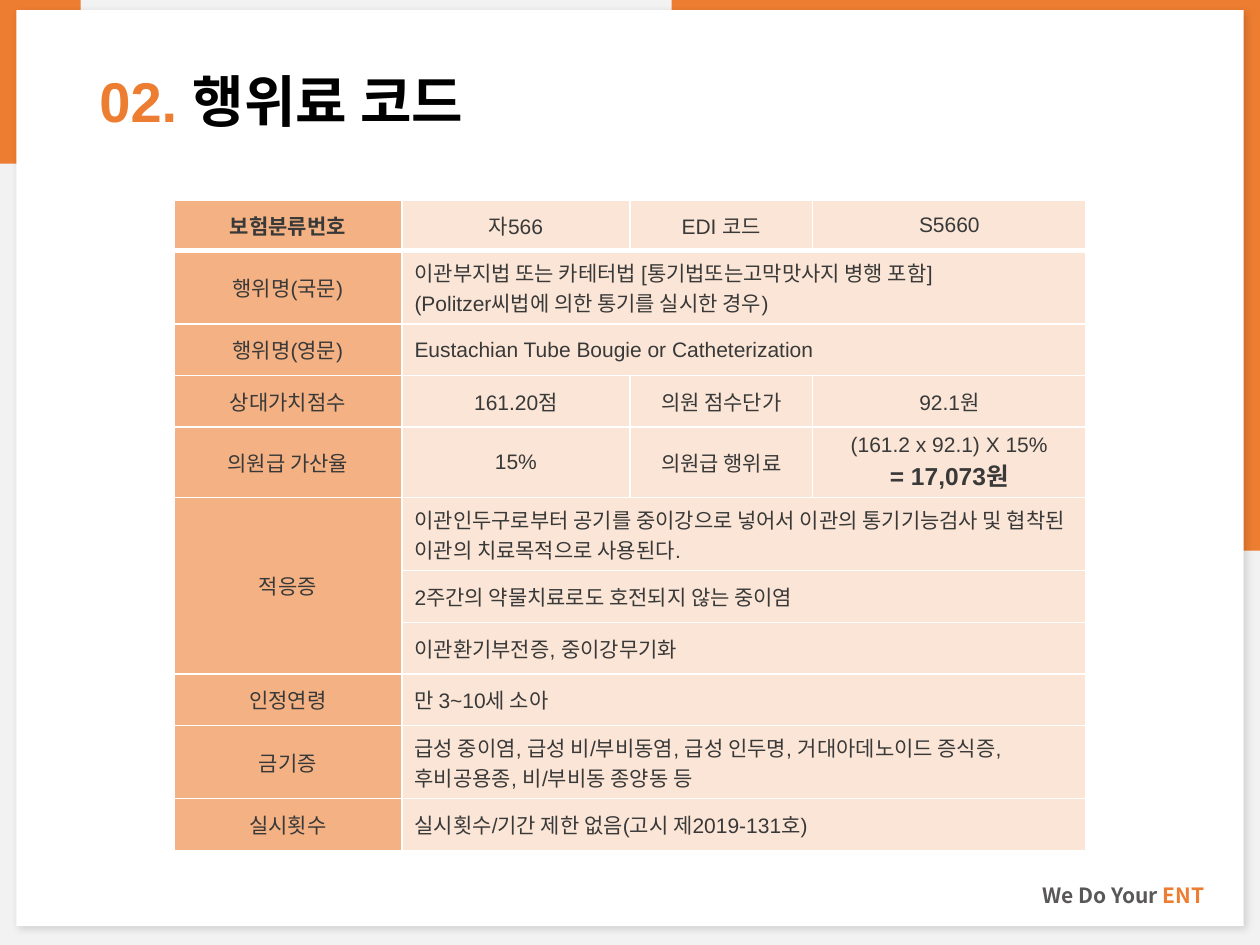
from dataclasses import dataclass
from typing import NamedTuple, Optional

from lxml.etree import SubElement
from pptx import Presentation
from pptx.dml.color import RGBColor
from pptx.enum.shapes import MSO_SHAPE as Shape
from pptx.enum.text import MSO_ANCHOR as Anchor, PP_ALIGN as Align
from pptx.oxml.ns import qn
from pptx.util import Inches, Pt


@dataclass(frozen=True)
class Theme:
    backdrop: str = "F2F2F2"
    accent: str = "ED7D31"
    white: str = "FFFFFF"
    black: str = "000000"
    footer_gray: str = "595757"
    body_text: str = "383938"
    label_fill: str = "F4B183"
    value_fill: str = "FBE5D6"
    latin: str = "Arial"
    korean: str = "Noto Sans CJK KR"
    title_size: int = 32
    body_size: int = 12
    result_size: int = 14
    border: int = 1
    header_border: int = 3


THEME = Theme()


class Panel(NamedTuple):
    left: float
    top: float
    width: float
    height: float
    color: str


class Run(NamedTuple):
    text: str
    color: str = THEME.body_text
    size: int = THEME.body_size
    bold: bool = False
    font: str = THEME.latin


HEADER_HEIGHT = 0.4
LINE_HEIGHT = 0.41
TWO_LINE_HEIGHT = 0.58
RESULT_HEIGHT = 0.56


class Row(NamedTuple):
    """A label and its values; a single value spans the remaining columns."""
    label: Optional[str]
    values: list
    height: float = LINE_HEIGHT
    label_rows: int = 1


PANELS = [
    Panel(0, 0, 10, 7.5, THEME.backdrop),
    Panel(0, 0, 0.64, 1.3, THEME.accent),
    Panel(5.33, 0, 4.67, 4.37, THEME.accent),
]
PAGE = Panel(0.13, 0.08, 9.74, 7.27, THEME.white)
COLUMN_WIDTHS = [1.81, 1.81, 1.45, 2.17]
FEE_RESULT = Run("= 17,073원", size=THEME.result_size, bold=True)

ROWS = [
    Row("보험분류번호", [["자566"], ["EDI 코드"], ["S5660"]], HEADER_HEIGHT),
    Row("행위명(국문)", [["이관부지법 또는 카테터법 [통기법또는고막맛사지 병행 포함]",
                      "(Politzer씨법에 의한 통기를 실시한 경우)"]], TWO_LINE_HEIGHT),
    Row("행위명(영문)", [["Eustachian Tube Bougie or Catheterization"]]),
    Row("상대가치점수", [["161.20점"], ["의원 점수단가"], ["92.1원"]]),
    Row("의원급 가산율", [["15%"], ["의원급 행위료"], ["(161.2 x 92.1) X 15%", FEE_RESULT]],
        RESULT_HEIGHT),
    Row("적응증", [["이관인두구로부터 공기를 중이강으로 넣어서 이관의 통기기능검사 및 "
                 "협착된 이관의 치료목적으로 사용된다."]], TWO_LINE_HEIGHT, label_rows=3),
    Row(None, [["2주간의 약물치료로도 호전되지 않는 중이염"]]),
    Row(None, [["이관환기부전증, 중이강무기화"]]),
    Row("인정연령", [["만 3~10세 소아"]]),
    Row("금기증", [["급성 중이염, 급성 비/부비동염, 급성 인두명, 거대아데노이드 증식증,",
                 "후비공용종, 비/부비동 종양동 등"]], TWO_LINE_HEIGHT),
    Row("실시횟수", [["실시횟수/기간 제한 없음(고시 제2019-131호)"]]),
]


def add_panel(slide, panel: Panel):
    shape = slide.shapes.add_shape(
        Shape.RECTANGLE, *(Inches(length) for length in panel[:4]))
    shape.shadow.inherit = False
    shape.fill.solid()
    shape.fill.fore_color.rgb = RGBColor.from_string(panel.color)
    shape.line.fill.background()
    return shape


def add_soft_shadow(shape) -> None:
    effects = shape._element.spPr.find(qn("a:effectLst"))
    shadow = SubElement(effects, qn("a:outerShdw"), blurRad=str(Pt(4)), dist=str(Pt(3)),
                        dir=str(45 * 60000), algn="tl", rotWithShape="0")
    color = SubElement(shadow, qn("a:srgbClr"), val=THEME.black)
    SubElement(color, qn("a:alpha"), val="14000")


def add_run(paragraph, content: Run) -> None:
    run = paragraph.add_run()
    run.text = content.text
    run.font.size = Pt(content.size)
    run.font.bold = content.bold
    run.font.name = content.font
    run.font.color.rgb = RGBColor.from_string(content.color)


def add_text_line(slide, left: float, top: float, width: float, height: float,
                  runs: list[Run], alignment: Align, line_spacing: float = 1.0) -> None:
    box = slide.shapes.add_textbox(Inches(left), Inches(top), Inches(width), Inches(height))
    frame = box.text_frame
    frame.word_wrap = True
    frame.vertical_anchor = Anchor.BOTTOM
    paragraph = frame.paragraphs[0]
    paragraph.alignment = alignment
    paragraph.line_spacing = line_spacing
    for run in runs:
        add_run(paragraph, run)


def style_cell(cell, fill: str, top: int, bottom: int) -> None:
    """Set the fill and white borders, with top and bottom widths in points."""
    cell.vertical_anchor = Anchor.MIDDLE
    properties = cell._tc.get_or_add_tcPr()
    widths = {"lnL": THEME.border, "lnR": THEME.border, "lnT": top, "lnB": bottom}
    for side, width in widths.items():
        line = SubElement(properties, qn(f"a:{side}"), w=str(Pt(width)))
        line_fill = SubElement(line, qn("a:solidFill"))
        SubElement(line_fill, qn("a:srgbClr"), val=THEME.white)
    cell.fill.solid()
    cell.fill.fore_color.rgb = RGBColor.from_string(fill)


def write_cell(cell, lines: list, alignment: Align, bold: bool = False) -> None:
    frame = cell.text_frame
    for index, line in enumerate(lines):
        paragraph = frame.add_paragraph() if index else frame.paragraphs[0]
        paragraph.alignment = alignment
        add_run(paragraph, line if isinstance(line, Run) else Run(line, bold=bold))


def add_code_table(slide, left: float, top: float) -> None:
    last_column = len(COLUMN_WIDTHS) - 1
    table = slide.shapes.add_table(
        len(ROWS), len(COLUMN_WIDTHS), Inches(left), Inches(top),
        Inches(sum(COLUMN_WIDTHS)), Inches(sum(row.height for row in ROWS))).table
    table.horz_banding = False
    for column, width in zip(table.columns, COLUMN_WIDTHS):
        column.width = Inches(width)

    for index, row in enumerate(ROWS):
        table.rows[index].height = Inches(row.height)
        top_width = THEME.header_border if index == 1 else THEME.border
        bottom_width = THEME.header_border if index == 0 else THEME.border
        for column in range(len(COLUMN_WIDTHS)):
            fill = THEME.value_fill if column else THEME.label_fill
            style_cell(table.cell(index, column), fill, top_width, bottom_width)

        if row.label:
            label_cell = table.cell(index, 0)
            if row.label_rows > 1:
                label_cell.merge(table.cell(index + row.label_rows - 1, 0))
            write_cell(label_cell, [row.label], Align.CENTER, bold=index == 0)

        spans = len(row.values) == 1
        if spans:
            table.cell(index, 1).merge(table.cell(index, last_column))
        for column, lines in enumerate(row.values, start=1):
            write_cell(table.cell(index, column), lines, Align.LEFT if spans else Align.CENTER)


def main() -> None:
    presentation = Presentation()
    presentation.slide_width = Inches(10)
    presentation.slide_height = Inches(7.5)
    slide = presentation.slides.add_slide(presentation.slide_layouts[6])

    for panel in PANELS:
        add_panel(slide, panel)
    add_soft_shadow(add_panel(slide, PAGE))
    add_text_line(slide, 5.33, 6.87, 4.33, 0.38, [
        Run("We Do Your ", THEME.footer_gray, bold=True, font=THEME.korean),
        Run("ENT", THEME.accent, bold=True, font=THEME.korean),
    ], Align.RIGHT)
    add_text_line(slide, 0.69, 0.4, 8.62, 0.72, [
        Run("02. ", THEME.accent, THEME.title_size, True),
        Run("행위료 코드", THEME.black, THEME.title_size, True),
    ], Align.LEFT, line_spacing=0.9)
    add_code_table(slide, 1.38, 1.59)
    presentation.save("out.pptx")


if __name__ == "__main__":
    main()
